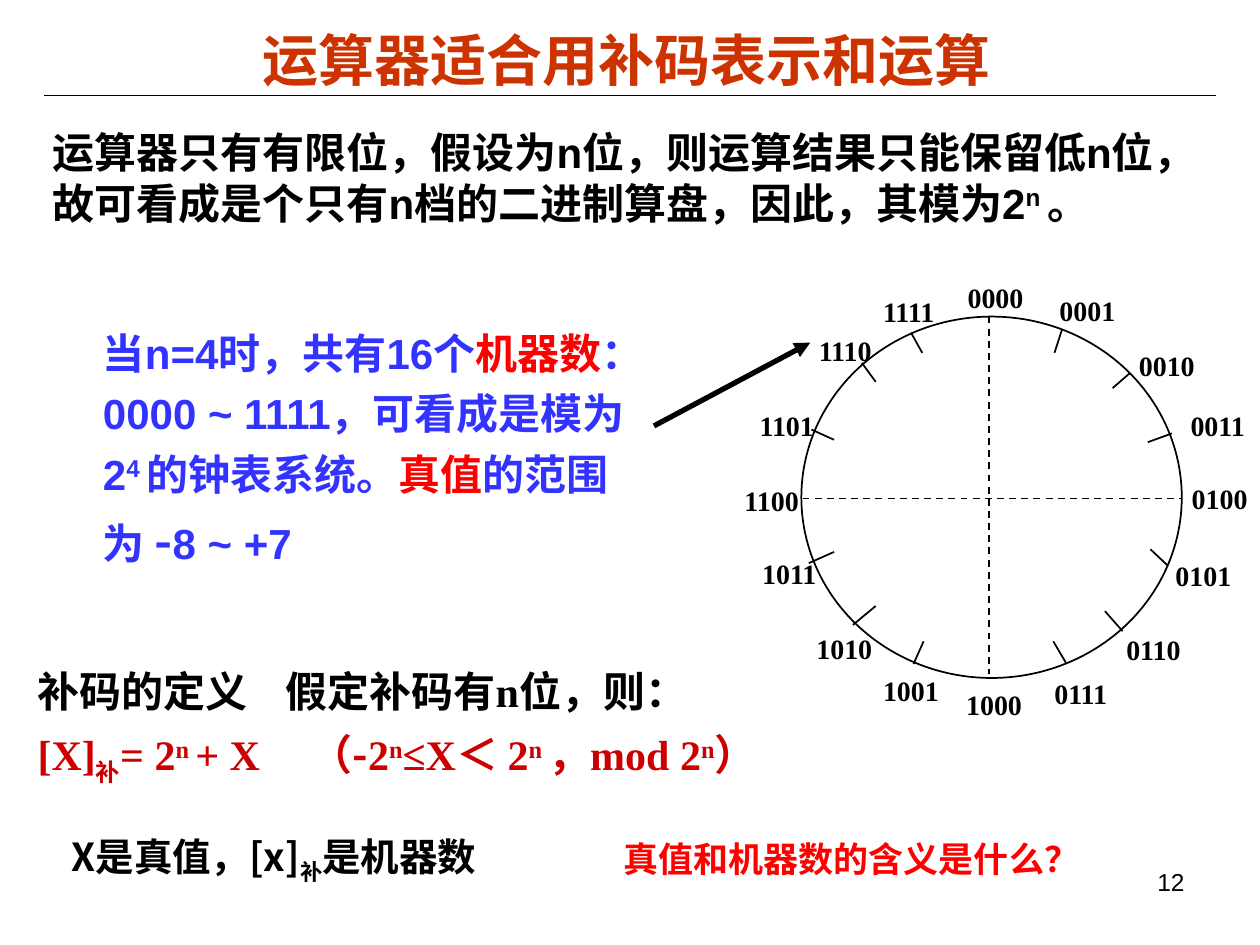
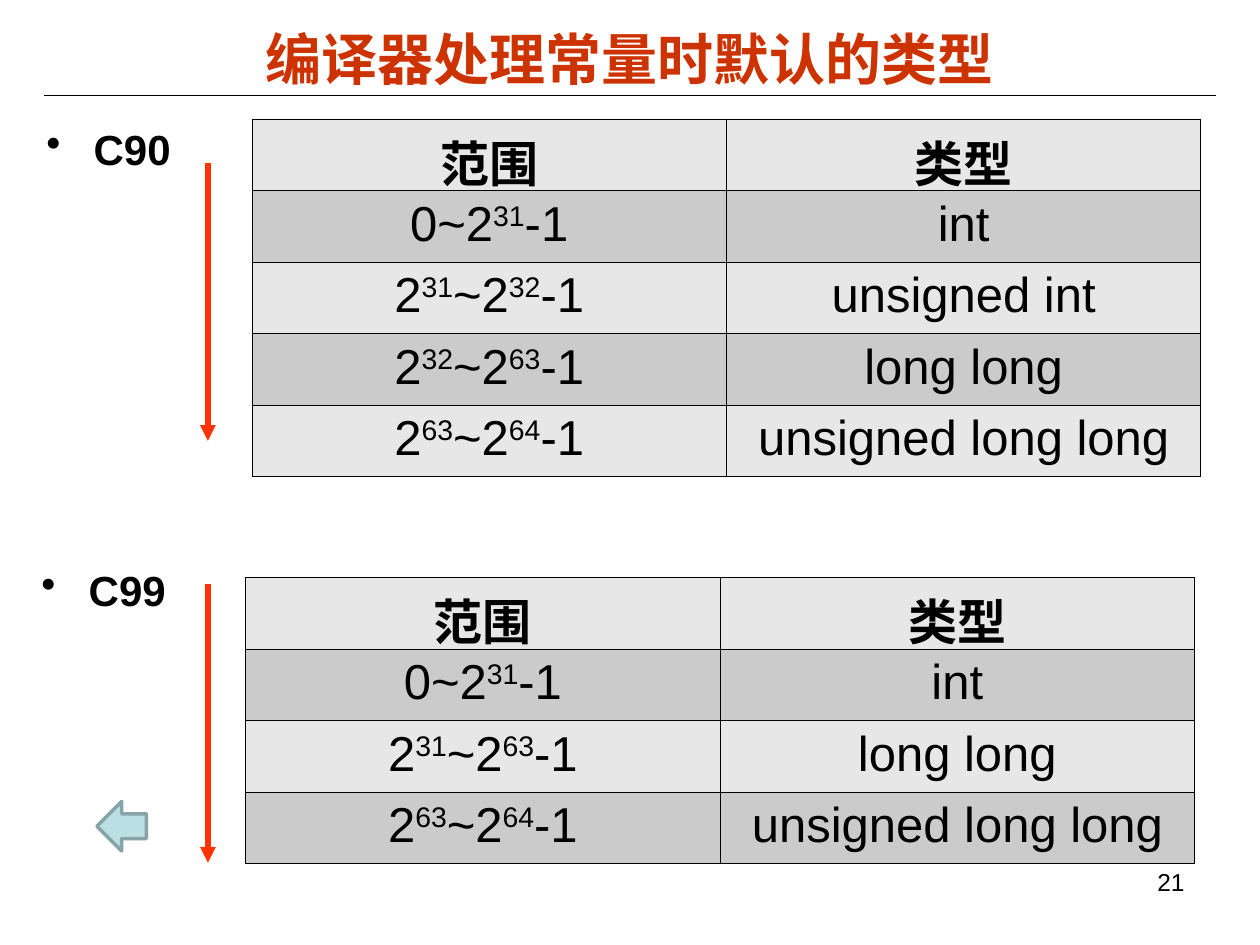
from dataclasses import dataclass
from typing import NamedTuple

from lxml import etree
from pptx import Presentation
from pptx.dml.color import RGBColor
from pptx.enum.dml import MSO_LINE
from pptx.enum.shapes import MSO_CONNECTOR, MSO_SHAPE
from pptx.enum.text import MSO_ANCHOR, PP_ALIGN
from pptx.oxml.ns import qn
from pptx.util import Pt

STRAIGHT = MSO_CONNECTOR.STRAIGHT
ELLIPSE, LEFT_ARROW = MSO_SHAPE.OVAL, MSO_SHAPE.LEFT_ARROW
LEFT, CENTER, RIGHT = PP_ALIGN.LEFT, PP_ALIGN.CENTER, PP_ALIGN.RIGHT
TOP, MIDDLE = MSO_ANCHOR.TOP, MSO_ANCHOR.MIDDLE
DASH = MSO_LINE.DASH


@dataclass(frozen=True)
class Theme:
    black: str = "000000"
    title: str = "CC3300"
    blue: str = "3333FF"
    red: str = "FF0000"
    formula: str = "CC0000"
    arrow: str = "FF3300"
    light_row: str = "E7E7E7"
    dark_row: str = "CBCBCB"
    back_fill: str = "BBE0E3"
    back_line: str = "89A4A7"
    sans: str = "Arial"
    serif: str = "Times New Roman"
    chinese: str = "Noto Sans CJK SC"
    title_size: float = 32
    table_size: float = 28
    body_size: float = 24
    remark_size: float = 22
    question_size: float = 20
    label_size: float = 16
    number_size: float = 14


THEME = Theme()


class Box(NamedTuple):
    left: float
    top: float
    width: float
    height: float


class Segment(NamedTuple):
    x1: float
    y1: float
    x2: float
    y2: float


class Span(NamedTuple):
    text: str
    color: str | None = None
    baseline: int = 0
    font: str | None = None
    size: float | None = None


class RangeTable(NamedTuple):
    standard: str
    label: Box
    line_spacing: float
    left: float
    top: float
    arrow_top: float
    rows: list[tuple[str, str]]


def powers(text: str, color: str | None = None) -> list[Span]:
    """Every second part between bars is raised."""
    return [Span(part, color, 30 * (index % 2))
            for index, part in enumerate(text.split("|"))]


def child(parent, tag: str, **attributes: str):
    element = etree.SubElement(parent, qn(tag))
    for name, value in attributes.items():
        element.set(name, value)
    return element


def write(frame, paragraphs: list[list[Span]], *, size: float = THEME.body_size,
          color: str = THEME.black, font: str = THEME.sans, bold: bool = True,
          align=LEFT, line_spacing: float | None = None, space_before: float = 0,
          bullet: bool = False, tabs: tuple[float, ...] = ()) -> None:
    for index, spans in enumerate(paragraphs):
        para = frame.add_paragraph() if index else frame.paragraphs[0]
        para.alignment = align
        if line_spacing:
            para.line_spacing = line_spacing
        if index:
            para.space_before = Pt(space_before)
        properties = para._p.get_or_add_pPr()
        if bullet:
            properties.set("marL", str(Pt(27)))
            properties.set("indent", str(Pt(-27)))
            child(child(properties, "a:buClr"), "a:srgbClr", val=color)
            child(properties, "a:buChar", char="•")
        if tabs:
            child(child(properties, "a:tabLst"), "a:tab", pos=str(Pt(tabs[index])), algn="l")
        for span in spans:
            run = para.add_run()
            run.text = span.text
            run.font.size = Pt(span.size or size)
            run.font.bold = bold
            run.font.name = span.font or font
            run.font.color.rgb = RGBColor.from_string(span.color or color)
            run_properties = run._r.get_or_add_rPr()
            child(run_properties, "a:ea", typeface=THEME.chinese)
            if span.baseline:
                run_properties.set("baseline", str(span.baseline * 1000))


def add_text(page, box: Box, paragraphs: list[list[Span]], *,
             anchor=TOP, wrap: bool = True, **text_format) -> None:
    frame = page.shapes.add_textbox(*map(Pt, box)).text_frame
    frame.word_wrap = wrap
    frame.vertical_anchor = anchor
    write(frame, paragraphs, **text_format)


def add_line(page, segment: Segment, *, color: str = THEME.black, width: float = 1,
             dashed: bool = False, arrow: bool = False) -> None:
    connector = page.shapes.add_connector(STRAIGHT, *map(Pt, segment))
    connector.line.color.rgb = RGBColor.from_string(color)
    connector.line.width = Pt(width)
    if dashed:
        connector.line.dash_style = DASH
    if arrow:
        child(connector.line._get_or_add_ln(), "a:tailEnd", type="triangle")
    child(connector._element.spPr, "a:effectLst")


def add_figure(page, kind, box: Box, *, line: str, width: float,
               fill: str | None = None) -> None:
    figure = page.shapes.add_shape(kind, *map(Pt, box))
    figure.shadow.inherit = False
    figure.line.color.rgb = RGBColor.from_string(line)
    figure.line.width = Pt(width)
    if fill:
        figure.fill.solid()
        figure.fill.fore_color.rgb = RGBColor.from_string(fill)
    else:
        figure.fill.background()


def add_page(deck, title: str, title_box: Box, number: int):
    page = deck.slides.add_slide(deck.slide_layouts[6])
    add_line(page, Segment(25.2, 54.7, 694.8, 54.7), width=0.75)
    add_text(page, title_box, [[Span(title)]], anchor=MIDDLE, align=CENTER,
             size=THEME.title_size, color=THEME.title)
    add_text(page, Box(516, 492, 168, 37), [[Span(str(number))]], align=RIGHT,
             size=THEME.number_size, bold=False)
    return page


def border_cell(cell) -> None:
    properties = cell._tc.get_or_add_tcPr()
    for index, side in enumerate(("a:lnL", "a:lnR", "a:lnT", "a:lnB")):
        line = etree.Element(qn(side), w=str(Pt(0.45)))
        child(child(line, "a:solidFill"), "a:srgbClr", val=THEME.black)
        properties.insert(index, line)


# Clock of the 16 four-bit codes, clockwise from 0000: left and top of each label
LABEL_PLACES = [
    (545.8, 157), (598.3, 164.2), (643.7, 195.8), (673.2, 229.7),
    (673.9, 271.4), (664.6, 315.4), (636.5, 357.8), (595.4, 383),
    (545, 389.5), (497.5, 381.6), (459.4, 357.1), (428.4, 314.6),
    (418.3, 272.9), (427, 229.7), (460.8, 187.2), (497.5, 164.9),
]
TICKS = [
    Segment(607, 187.9, 602.6, 201.6), Segment(645.8, 213.1, 635.8, 221.8),
    Segment(669.6, 247.7, 655.9, 252.7), Segment(667.4, 323.3, 657.4, 313.9),
    Segment(641.5, 360.7, 631.4, 349.2), Segment(609.1, 378.7, 601.9, 366.5),
    Segment(522, 379.4, 527.8, 366.5), Segment(487.4, 357.1, 500.4, 346.3),
    Segment(462.2, 321.8, 476.6, 315.4), Segment(463.7, 245.5, 476.6, 251.3),
    Segment(492.5, 207.4, 500.4, 218.2), Segment(520.6, 190.1, 527, 201.6),
]


def draw_clock(page) -> None:
    add_figure(page, ELLIPSE, Box(457.9, 180.9, 217.4, 206.5), line=THEME.black, width=1)
    add_line(page, Segment(458.6, 284.8, 675.4, 284.8), dashed=True)
    add_line(page, Segment(565.2, 180.9, 565.2, 385.2), dashed=True)
    for tick in TICKS:
        add_line(page, tick)
    for code, (left, top) in enumerate(LABEL_PLACES):
        add_text(page, Box(left, top, 46.4, 26.6), [[Span(f"{code:04b}")]], wrap=False,
                 size=THEME.label_size, font=THEME.serif)


def build_complement_page(deck) -> None:
    page = add_page(deck, "运算器适合用补码表示和运算", Box(31, 12, 654, 43.5), 12)
    draw_clock(page)

    # Premise and the four-bit example
    add_text(page, Box(23, 69, 681, 65), [powers(
        "运算器只有有限位，假设为n位，则运算结果只能保留低n位，"
        "故可看成是个只有n档的二进制算盘，因此，其模为2|n |。")])
    add_text(page, Box(51.8, 177.8, 333.4, 151), [[
        Span("当n=4时，共有16个"),
        Span("机器数", THEME.red),
        *powers("：0000 ~ 1111，可看成是模为2|4 |的钟表系统。"),
        Span("真值", THEME.red),
        Span("的范围为 "),
        Span("-", font=THEME.chinese, size=THEME.table_size),
        Span("8 ~ +7"),
    ]], color=THEME.blue, line_spacing=1.2)
    add_line(page, Segment(373.7, 243.4, 463, 195.8), width=3, arrow=True)

    # Definition
    formula = [
        Span("[X]", THEME.formula),
        Span("补", THEME.formula, -25),
        *powers("= 2|n |+ X\t（", THEME.formula),
        Span("-", THEME.formula, font=THEME.chinese),
        *powers("2|n|≤X＜ 2|n |，mod 2|n|）", THEME.formula),
    ]
    add_text(page, Box(14.4, 376.6, 572, 76), [[Span("补码的定义\t假定补码有n位，则：")], formula],
             font=THEME.serif, space_before=7.5, tabs=(141.8, 156))

    # Remarks
    add_text(page, Box(33.8, 472.3, 258.5, 64),
             [[Span("X是真值，[x]"), Span("补", baseline=-25), Span("是机器数")]],
             size=THEME.remark_size, font=THEME.chinese)
    add_text(page, Box(349.2, 475.2, 333.4, 31.7), [[Span("真值和机器数的含义是什么？")]],
             size=THEME.question_size, color=THEME.red)


RANGE_TABLES = [
    RangeTable("C90", Box(19.4, 65.5, 648, 37.4), 1.05, 144, 68, 92.9, [
        ("0~2|31|-1", "int"), ("2|31|~2|32|-1", "unsigned int"),
        ("2|32|~2|63|-1", "long long"), ("2|63|~2|64|-1", "unsigned long long")]),
    RangeTable("C99", Box(16.6, 314.6, 648, 37.4), 1.15, 140.4, 330, 334, [
        ("0~2|31|-1", "int"), ("2|31|~2|63|-1", "long long"),
        ("2|63|~2|64|-1", "unsigned long long")]),
]
ROW_HEIGHT, TABLE_WIDTH, ARROW_LENGTH = 40.8, 542.2, 159


def draw_range_table(page, content: RangeTable) -> None:
    add_text(page, content.label, [[Span(content.standard)]], bullet=True,
             line_spacing=content.line_spacing)
    rows = [("范围", "类型"), *content.rows]
    box = Box(content.left, content.top, TABLE_WIDTH, ROW_HEIGHT * len(rows))
    table = page.shapes.add_table(len(rows), 2, *map(Pt, box)).table
    table.first_row = table.horz_banding = False
    for row_index, row in enumerate(rows):
        table.rows[row_index].height = Pt(ROW_HEIGHT)
        shade = THEME.dark_row if row_index % 2 else THEME.light_row
        for column_index, text in enumerate(row):
            cell = table.cell(row_index, column_index)
            cell.fill.solid()
            cell.fill.fore_color.rgb = RGBColor.from_string(shade)
            border_cell(cell)
            write(cell.text_frame, [powers(text)], size=THEME.table_size,
                  bold=row_index == 0, align=CENTER)
    add_line(page, Segment(118.8, content.arrow_top, 118.8, content.arrow_top + ARROW_LENGTH),
             color=THEME.arrow, width=3, arrow=True)


def build_constant_page(deck) -> None:
    page = add_page(deck, "编译器处理常量时默认的类型", Box(36, 11, 648, 44), 21)
    for content in RANGE_TABLES:
        draw_range_table(page, content)
    add_figure(page, LEFT_ARROW, Box(55.4, 458, 28.3, 28.3), line=THEME.back_line,
               width=2, fill=THEME.back_fill)


def main() -> None:
    deck = Presentation()
    deck.slide_width, deck.slide_height = Pt(720), Pt(540)
    build_complement_page(deck)
    build_constant_page(deck)
    deck.save("out.pptx")


if __name__ == "__main__":
    main()
